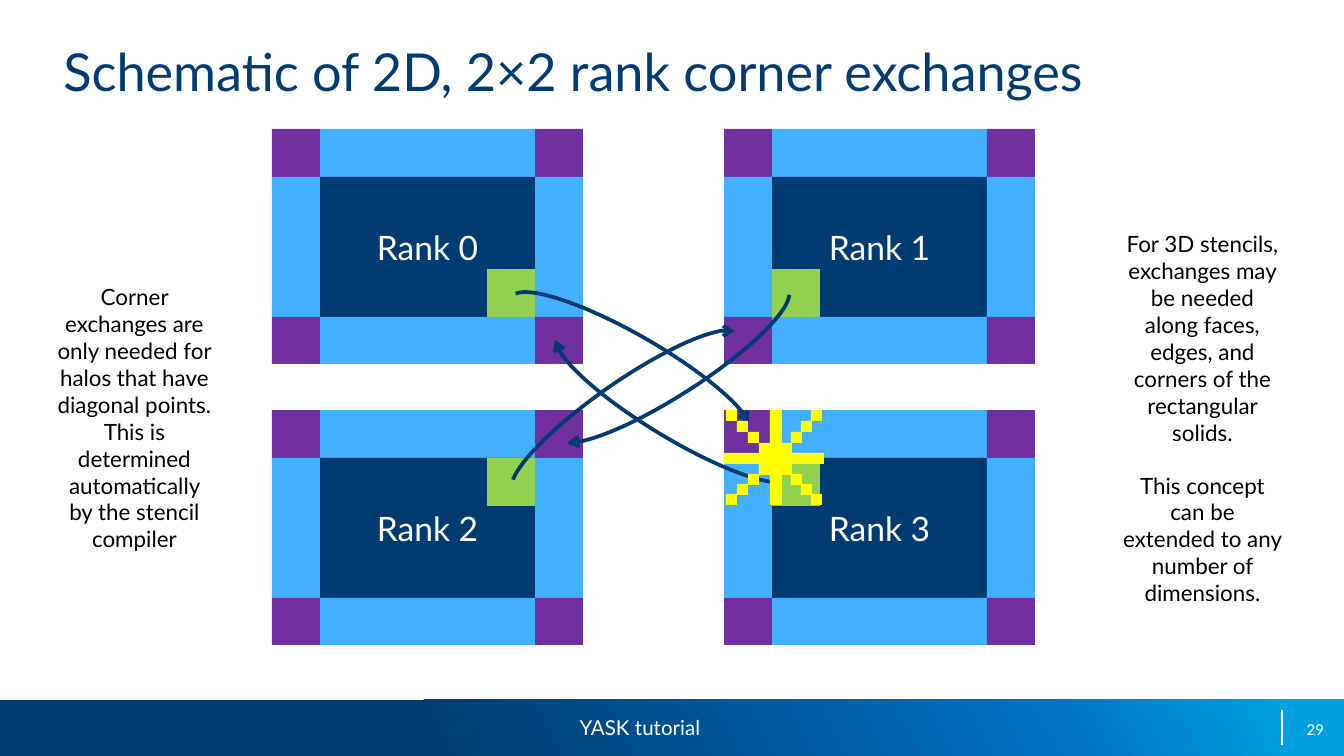
from copy import deepcopy
from lxml import etree
from pptx import Presentation
from pptx.dml.color import RGBColor
from pptx.enum.shapes import MSO_CONNECTOR, MSO_SHAPE
from pptx.enum.text import MSO_ANCHOR, PP_ALIGN
from pptx.oxml.ns import qn
from pptx.util import Emu, Pt

RECT, ARC = MSO_SHAPE.RECTANGLE, MSO_SHAPE.ARC
LINE = MSO_CONNECTOR.STRAIGHT
MID = MSO_ANCHOR.MIDDLE
LEFT, MIDDLE, RIGHT = PP_ALIGN.LEFT, PP_ALIGN.CENTER, PP_ALIGN.RIGHT
PX = 914400 / 134.4
NAVY, SKY, PURPLE, GREEN = "003C71", "43AFFF", "7030A0", "92D050"
YELLOW, WHITE, BLACK = "FFFF00", "FFFFFF", "000000"
rgb = RGBColor.from_string


def block(home, box, color, kind=RECT):
    shape = home.add_shape(kind, *[Emu(round(v * PX)) for v in box])
    shape.shadow.inherit = False
    shape.fill.solid()
    shape.fill.fore_color.rgb = rgb(color)
    shape.line.fill.background()
    return shape


def write(frame, texts, size, color, align=MIDDLE, gap=0):
    frame.word_wrap = True
    for i, text in enumerate(texts):
        para = frame.add_paragraph() if i else frame.paragraphs[0]
        para.alignment = align
        if i:
            para.space_before = Pt(gap)
        run = para.add_run()
        run.text = text
        run.font.name = "Lato"
        run.font.size = Pt(size)
        run.font.color.rgb = rgb(color)


deck = Presentation()
deck.slide_width, deck.slide_height = round(1344 * PX), round(756 * PX)
slide = deck.slides.add_slide(deck.slide_layouts[5])
shapes = slide.shapes

# Footer bar with gradient and divider
bar = block(shapes, (0, 700, 1344, 56), NAVY)
bar.fill.gradient()
bar.fill.gradient_angle = 29
stops = bar._element.spPr.find(qn("a:gradFill")).find(qn("a:gsLst"))
stops.append(deepcopy(stops[-1]))
hues = [(0.32, NAVY), (0.78, "0071C5"), (0.95, "009FDF")]
for stop, (pos, hue) in zip(bar.fill.gradient_stops, hues):
    stop.position = pos
    stop.color.rgb = rgb(hue)
rule = shapes.add_connector(LINE, *[Emu(round(v * PX)) for v in (1282, 710, 1282, 745)])
rule.line.color.rgb = rgb(WHITE)
rule.line.width = Pt(0.75)
etree.SubElement(rule._element.spPr, qn("a:effectLst"))

# Title
title = shapes.title
title.left, title.top, title.width, title.height = [
    Emu(round(v * PX)) for v in (50, 32, 1227, 78)]
title.text_frame.vertical_anchor = MID
write(title.text_frame, ["Schematic of 2D, 2×2 rank corner exchanges"], 28, NAVY, LEFT)

# Four ranks: core, halo sides, halo corners and the cell sent
cols = [(0, 48), (48, 215), (263, 48)]
rows = [(0, 48), (48, 140), (188, 47)]
for rank in range(4):
    down, across = divmod(rank, 2)
    left, top = (272, 724)[across], (129, 410)[down]
    group = shapes.add_group_shape().shapes
    for r, (y, high) in enumerate(rows):
        for c, (x, wide) in enumerate(cols):
            mids = (r == 1) + (c == 1)
            cell = block(group, (left + x, top + y, wide, high),
                         (PURPLE, SKY, NAVY)[mids])
            if mids == 2:
                cell.text_frame.vertical_anchor = MID
                write(cell.text_frame, [f"Rank {rank}"], 18, WHITE)
    block(group, (left + (215, 48)[across], top + (140, 48)[down], 48, 48), GREEN)

# Curved exchange arrows: left, top, turn, flipped
curves = [(493, 335, 29.9, False), (536, 375, 31.3, True),
          (534, 333, 147.3, False), (488, 382, 145.2, True)]
for x, y, turn, flip in curves:
    arc = block(shapes, (x, y, 276, 62), NAVY, ARC)
    arc.fill.background()
    arc.adjustments[0], arc.adjustments[1] = 109.32, 213.42
    arc.rotation = turn
    if flip:
        arc._element.spPr.find(qn("a:xfrm")).set("flipV", "1")
    arc.line.color.rgb = rgb(NAVY)
    arc.line.width = Pt(2)
    ln = arc._element.spPr.find(qn("a:ln"))
    etree.SubElement(ln, qn("a:headEnd" if flip else "a:tailEnd"), type="arrow")

# Star: two bars and four stepped rays
star = shapes.add_group_shape().shapes
block(star, (770, 410, 12, 95), YELLOW)
block(star, (724, 453, 100, 11), YELLOW)
for x, dx in ((759, -11), (781, 10)):
    for y, dy in ((443, -11), (464, 10)):
        for i in range(4):
            block(star, (x + i * dx, y + i * dy, 11, 11), YELLOW)

# Side notes and footer text
notes = [
    ((42, 277, 185, 312), 12, BLACK, 0, [
        "Corner exchanges are only needed for halos that have diagonal points.",
        "This is determined automatically by the stencil compiler"]),
    ((1110, 224, 185, 394), 12, BLACK, 14, [
        "For 3D stencils, exchanges may be needed along faces, edges, "
        "and corners of the rectangular solids.",
        "This concept can be extended to any number of dimensions."]),
    ((394, 708, 492, 40), 11, WHITE, 0, ["YASK tutorial"]),
]
for box, size, color, gap, texts in notes:
    note = shapes.add_textbox(*[Emu(round(v * PX)) for v in box])
    write(note.text_frame, texts, size, color, gap=gap)

# Page number
page = shapes.add_textbox(*[Emu(round(v * PX)) for v in (1011, 710, 313, 40)])
frame = page.text_frame
frame.margin_left = frame.margin_right = frame.margin_top = frame.margin_bottom = 0
frame.vertical_anchor = MID
write(frame, ["29"], 8, WHITE, RIGHT)

deck.save("out.pptx")
